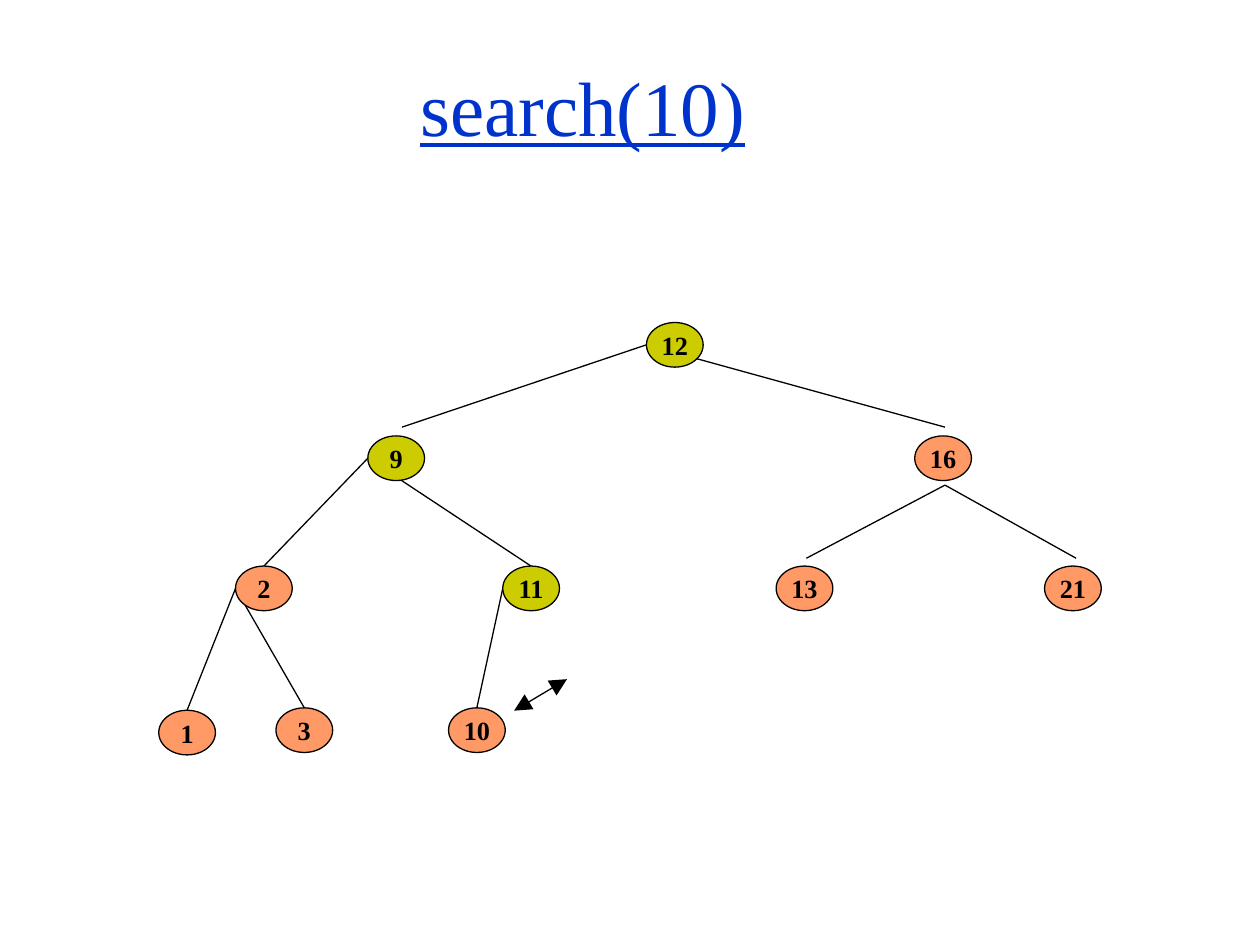
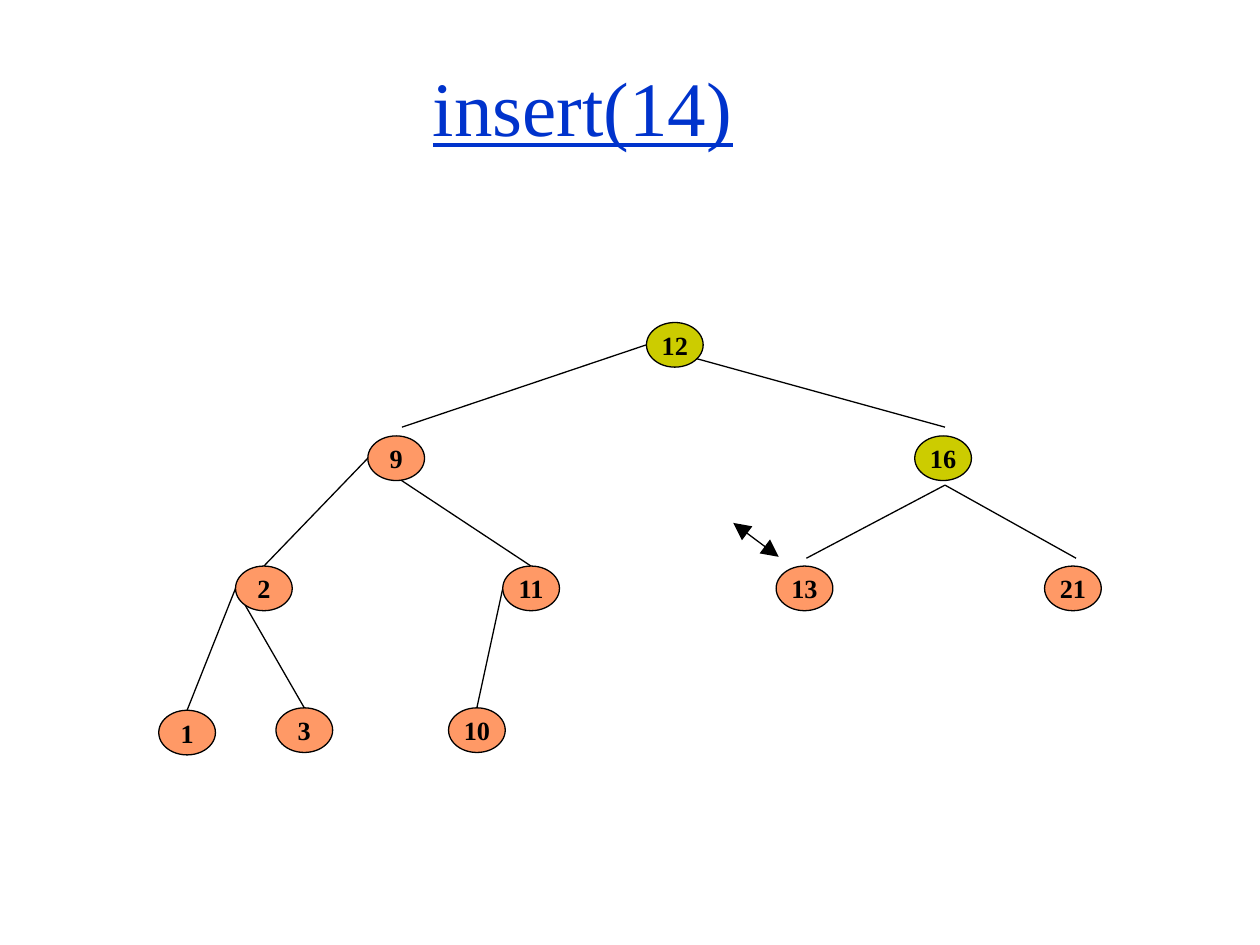
from collections import namedtuple
from dataclasses import dataclass

from lxml.etree import SubElement
from pptx import Presentation
from pptx.dml.color import RGBColor as Color
from pptx.enum.shapes import MSO_CONNECTOR as Connector, MSO_SHAPE as Preset
from pptx.enum.text import MSO_ANCHOR as Anchor, PP_ALIGN as Align
from pptx.oxml.ns import qn
from pptx.util import Pt

Box = namedtuple("Box", "left top width height")
Edge = namedtuple("Edge", "parent child shift gap", defaults=(0, 0))


@dataclass(frozen=True)
class Theme:
    font: str = "Times New Roman"
    title_size: float = 44
    key_size: float = 15
    line_width: float = 0.75
    title: str = "0033CC"
    ink: str = "000000"
    visited: str = "CCCC00"
    plain: str = "FF9966"


THEME = Theme()
TITLE_BOX = Box(36, 9.4, 594, 102.2)
TREE_BOX = Box(90.7, 184.3, 538.6, 247.1)
NODE_WIDTH, NODE_HEIGHT = 32.4, 25.5

# Left and top of each key's node inside the tree box
LEVEL_TOPS = (0, 64.8, 139.2, 220.2)
NODES = {
    12: (278.7, LEVEL_TOPS[0]),
    16: (432, LEVEL_TOPS[1]),
    9: (119.5, LEVEL_TOPS[1]),
    2: (43.9, LEVEL_TOPS[2]),
    11: (196.6, LEVEL_TOPS[2]),
    13: (352.8, LEVEL_TOPS[2]),
    21: (506.2, LEVEL_TOPS[2]),
    10: (165.6, LEVEL_TOPS[3]),
    1: (0, LEVEL_TOPS[3] + 1.4),
    3: (67, LEVEL_TOPS[3]),
}

# Edges end at the child's top centre, or stop short by a shift and a gap
EDGES = (
    Edge(12, 9, 3.3, 5), Edge(12, 16, 1.1, 5),
    Edge(16, 21, 1.8, 4.5), Edge(9, 11), Edge(9, 2),
    Edge(16, 13, 1.1, 4.5), Edge(2, 1), Edge(2, 3), Edge(11, 10),
)
FORK_KEY, FORK_SHIFT, FORK_GAP = 16, 1.1, 2.6

# Title, visited keys, and pointer ends inside the tree box
STEPS = (
    ("search(10)", {12, 9, 11}, (233.3, 203.8), (203.1, 221.8)),
    ("insert(14)", {12, 16}, (328.3, 114.5), (354.3, 133.9)),
)


def write_text(shape, text, *, size, color, bold=False, underline=False, wrap=True):
    frame = shape.text_frame
    frame.word_wrap = wrap
    frame.vertical_anchor = Anchor.MIDDLE
    frame.margin_left = frame.margin_right = 0
    frame.margin_top = frame.margin_bottom = 0
    para = frame.paragraphs[0]
    para.alignment = Align.CENTER
    span = para.add_run()
    span.text = text
    font = span.font
    font.name, font.size = THEME.font, Pt(size)
    font.bold, font.underline = bold, underline
    font.color.rgb = Color.from_string(color)


def style_line(line):
    line.width = Pt(THEME.line_width)
    line.color.rgb = Color.from_string(THEME.ink)


def add_line(page, box, start, end):
    """Draw a straight line between two points inside the box."""
    ends = [Pt(origin + offset) for point in (start, end)
            for origin, offset in zip((box.left, box.top), point)]
    line = page.shapes.add_connector(Connector.STRAIGHT, *ends)
    style_line(line.line)
    SubElement(line.element.spPr, qn("a:effectLst"))
    return line


def add_title(page, box, text):
    title = page.shapes.add_textbox(*map(Pt, box))
    write_text(title, text, size=THEME.title_size, color=THEME.title, underline=True)


def add_edge(page, box, edge):
    left, top = NODES[edge.parent]
    if edge.parent == FORK_KEY:
        start = (left + NODE_WIDTH / 2 + FORK_SHIFT, top + NODE_HEIGHT + FORK_GAP)
    else:
        start = (left, top + NODE_HEIGHT / 2)
    child_left, child_top = NODES[edge.child]
    end = (child_left + NODE_WIDTH / 2 + edge.shift, child_top - edge.gap)
    return add_line(page, box, start, end)


def add_node(page, box, key, fill):
    left, top = NODES[key]
    node = page.shapes.add_shape(
        Preset.OVAL, Pt(box.left + left), Pt(box.top + top),
        Pt(NODE_WIDTH), Pt(NODE_HEIGHT))
    node.shadow.inherit = False
    node.fill.solid()
    node.fill.fore_color.rgb = Color.from_string(fill)
    style_line(node.line)
    write_text(node, str(key), size=THEME.key_size, color=THEME.ink,
               bold=True, wrap=False)
    return node


def add_tree(page, box, visited):
    # Edges lie behind the nodes, so they are drawn first and joined after
    lines = [add_edge(page, box, edge) for edge in EDGES]
    nodes = {key: add_node(page, box, key,
                           THEME.visited if key in visited else THEME.plain)
             for key in NODES}
    for edge, line in zip(EDGES, lines):
        if not edge.gap:
            line.end_connect(nodes[edge.child], 0)


def add_pointer(page, box, start, end):
    pointer = add_line(page, box, start, end)
    outline = pointer.line._get_or_add_ln()
    for tag in ("a:headEnd", "a:tailEnd"):
        SubElement(outline, qn(tag), type="triangle", w="lg", len="lg")


def add_tree_page(deck, title, visited, start, end):
    page = deck.slides.add_slide(deck.slide_layouts[6])
    add_title(page, TITLE_BOX, title)
    add_tree(page, TREE_BOX, visited)
    add_pointer(page, TREE_BOX, start, end)


def main():
    deck = Presentation()
    deck.slide_width, deck.slide_height = Pt(720), Pt(540)
    for step in STEPS:
        add_tree_page(deck, *step)
    deck.save("out.pptx")


if __name__ == "__main__":
    main()
